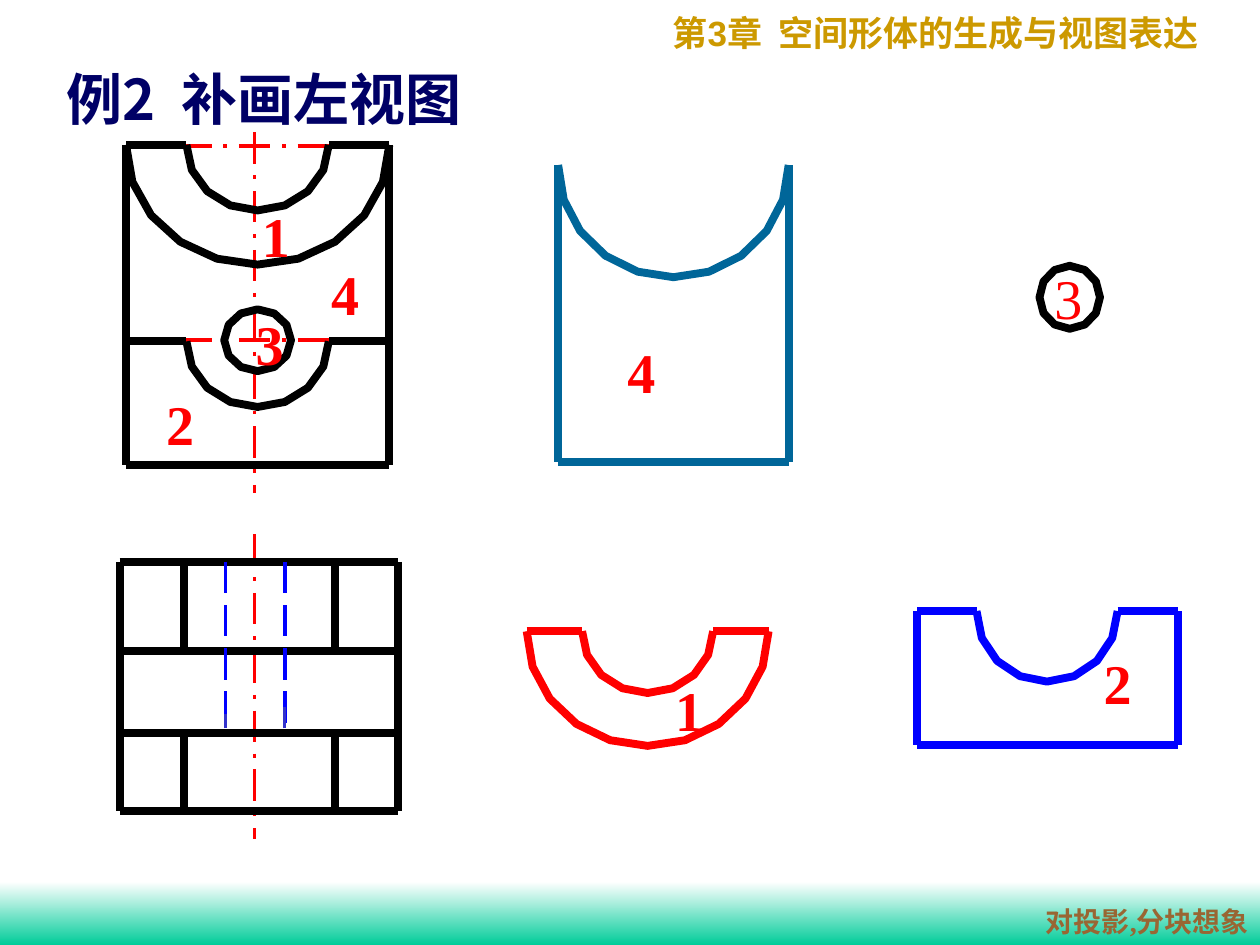
import math

import pptx
import pptx.dml.color
import pptx.enum.dml
import pptx.enum.shapes
import pptx.enum.text
import pptx.oxml
import pptx.oxml.ns
import pptx.util
from pptx.util import Inches

RGBColor = pptx.dml.color.RGBColor
BLACK = RGBColor(0x00, 0x00, 0x00)
WHITE = RGBColor(0xFF, 0xFF, 0xFF)
RED = RGBColor(0xFF, 0x00, 0x00)
BLUE = RGBColor(0x00, 0x00, 0xFF)
INDIGO = RGBColor(0x33, 0x33, 0xCC)
TEAL = RGBColor(0x00, 0x66, 0x99)
NAVY = RGBColor(0x00, 0x00, 0x66)
GREEN = RGBColor(0x00, 0xCC, 0x99)
GOLD = RGBColor(0xCC, 0x99, 0x00)
BROWN = RGBColor(0x99, 0x66, 0x33)

SERIF = "Times New Roman"
SANS = "Noto Sans CJK SC"
AXIS = pptx.enum.dml.MSO_LINE.LONG_DASH_DOT
HIDDEN = pptx.enum.dml.MSO_LINE.LONG_DASH
LEFT = pptx.enum.text.PP_ALIGN.LEFT
CENTER = pptx.enum.text.PP_ALIGN.CENTER


def add_line(shapes, start, end, color, width=4.5, dash=None):
    """Draw a straight edge or axis between two points in inches."""
    line = shapes.add_connector(
        pptx.enum.shapes.MSO_CONNECTOR.STRAIGHT,
        *(Inches(value) for value in (*start, *end)))
    line.line.color.rgb = color
    line.line.width = pptx.util.Pt(width)
    if dash:
        line.line.dash_style = dash
    properties = line._element.spPr
    properties.append(pptx.oxml.parse_xml(
        f'<a:effectLst {pptx.oxml.ns.nsdecls("a")}/>'))


def add_horizontals(shapes, left, right, levels, color):
    """Draw horizontal edges of equal span at several heights."""
    for y in levels:
        add_line(shapes, (left, y), (right, y), color)


def add_verticals(shapes, top, bottom, columns, color, **style):
    """Draw vertical edges of equal span at several columns."""
    for x in columns:
        add_line(shapes, (x, top), (x, bottom), color, **style)


def add_arc(shapes, left, right, center_y, radius_y, segments, color,
            start=0, sweep=math.pi):
    """Draw an elliptic arc as a chain of straight segments."""
    center_x, radius_x = (left + right) / 2, (right - left) / 2
    angles = [start + sweep * i / segments for i in range(segments + 1)]
    points = [(Inches(center_x - radius_x * math.cos(angle)),
               Inches(center_y + radius_y * math.sin(angle)))
              for angle in angles]
    builder = shapes.build_freeform(*points[0])
    builder.add_line_segments(points[1:], close=False)
    arc = builder.convert_to_shape()
    arc.shadow.inherit = False
    arc.fill.background()
    arc.line.color.rgb = color
    arc.line.width = pptx.util.Pt(4.5)


def add_circle(shapes, left, right, center_y, radius_y):
    """Draw the twelve-sided circle of the hole."""
    add_arc(shapes, left, right, center_y, radius_y, 12, BLACK,
            math.pi, 2 * math.pi)


def write_text(box, runs, size, color, bold=True, align=LEFT, wrap=False):
    """Fill a box with one paragraph made of (text, font) runs."""
    frame = box.text_frame
    frame.word_wrap = wrap
    frame.auto_size = pptx.enum.text.MSO_AUTO_SIZE.NONE
    frame.vertical_anchor = pptx.enum.text.MSO_ANCHOR.TOP
    paragraph = frame.paragraphs[0]
    paragraph.alignment = align
    for text, face in runs:
        run = paragraph.add_run()
        run.text = text
        run.font.name = face
        run.font.size = pptx.util.Pt(size)
        run.font.bold = bold
        run.font.color.rgb = color
        latin = run.font._element.find(pptx.oxml.ns.qn("a:latin"))
        latin.addnext(pptx.oxml.parse_xml(
            f'<a:ea {pptx.oxml.ns.nsdecls("a")} typeface="{SANS}"/>'))


def add_text(shapes, at, runs, size, color, **style):
    """Add a text box at left, top, width, height in inches."""
    box = shapes.add_textbox(*(Inches(value) for value in at))
    write_text(box, runs, size, color, **style)


def add_label(shapes, left, top, number, bold=True):
    """Add the red number of a part."""
    add_text(shapes, (left, top, 0.42, 0.64), [(number, SERIF)], 32, RED,
             bold=bold, align=CENTER)


def add_footer_band(shapes):
    """Add the green gradient along the bottom of the slide."""
    band = shapes.add_shape(pptx.enum.shapes.MSO_SHAPE.RECTANGLE,
                            0, Inches(7), Inches(10), Inches(0.5))
    band.shadow.inherit = False
    band.line.fill.background()
    band.fill.gradient()
    band.fill.gradient_angle = 270
    for stop, position, color in zip(
            band.fill.gradient_stops, (0, 1), (WHITE, GREEN)):
        stop.position = position
        stop.color.rgb = color


def add_title(slide):
    """Place and format the title."""
    title = slide.shapes.title
    title.left, title.top = Inches(0.43), Inches(0.46)
    title.width, title.height = Inches(3.55), Inches(0.64)
    write_text(title, [("例2  补画左视图", SANS)], 32, NAVY)


def add_front_view(shapes):
    """Draw the front view with its axes and part numbers."""
    left, inner_left, inner_right, right = 1, 1.48, 2.61, 3.09
    top, middle, bottom = 1.15, 2.71, 3.69
    for y in (1.16, 2.7):
        add_line(shapes, (1.43, y), (2.62, y), RED, 2.25, AXIS)
    add_line(shapes, (2.02, 1.05), (2.02, 3.91), RED, 2.25, AXIS)
    add_horizontals(shapes, left, inner_left, (top, middle), BLACK)
    add_horizontals(shapes, inner_right, right, (top, middle), BLACK)
    add_horizontals(shapes, left, right, (bottom,), BLACK)
    add_verticals(shapes, top, bottom, (left, right), BLACK)
    add_circle(shapes, 1.78, 2.31, 2.7, 0.245)
    for y in (top, middle):
        add_arc(shapes, inner_left, inner_right, y, 0.52, 8, BLACK)
    add_arc(shapes, left, right, top, 0.95, 10, BLACK)
    for number, x, y in (("4", 2.53, 2.01), ("2", 1.22, 3.04),
                         ("3", 1.93, 2.41), ("1", 1.98, 1.55)):
        add_label(shapes, x, y, number)


def add_top_view(shapes):
    """Draw the top view with the hidden edges of the hole."""
    left, right = 0.95, 3.16
    levels = back, upper, lower, front = 4.46, 5.17, 5.82, 6.44
    slot, hole = (1.46, 2.66), (1.79, 2.26)
    add_line(shapes, (2.02, 4.24), (2.02, 6.66), RED, 2.25, AXIS)
    add_verticals(shapes, back, front, (left, right), BLACK)
    add_verticals(shapes, back, upper, slot, BLACK)
    add_verticals(shapes, lower, front, slot, BLACK)
    add_horizontals(shapes, left, right, levels, BLACK)
    add_verticals(shapes, back, 5.78, hole, BLUE, width=2.25, dash=HIDDEN)
    add_line(shapes, (hole[0], 5.78), (hole[0], 5.67), INDIGO, 1.5)
    add_line(shapes, (hole[1], 5.78), (hole[1], 5.56), INDIGO, 1.5, HIDDEN)


def add_half_ring(shapes):
    """Draw part 1, the half ring."""
    add_horizontals(shapes, 4.18, 4.62, (5.01,), RED)
    add_horizontals(shapes, 5.66, 6.1, (5.01,), RED)
    add_arc(shapes, 4.62, 5.66, 5.01, 0.49, 8, RED)
    add_arc(shapes, 4.18, 6.1, 5.01, 0.91, 10, RED)
    add_label(shapes, 5.26, 5.31, "1")


def add_front_block(shapes):
    """Draw part 2, the block with a round notch."""
    top, bottom = 4.85, 5.91
    add_arc(shapes, 7.75, 8.87, top, 0.56, 8, BLUE)
    add_horizontals(shapes, 7.28, 7.75, (top,), BLUE)
    add_horizontals(shapes, 8.87, 9.35, (top,), BLUE)
    add_horizontals(shapes, 7.28, 9.35, (bottom,), BLUE)
    add_verticals(shapes, top, bottom, (7.28, 9.35), BLUE)
    add_label(shapes, 8.66, 5.1, "2")


def add_hole(shapes):
    """Draw part 3, the hole."""
    add_circle(shapes, 8.25, 8.73, 2.36, 0.25)
    add_label(shapes, 8.27, 2.04, "3", bold=False)


def add_back_plate(shapes):
    """Draw part 4, the plate with a round top."""
    left, right, top, bottom = 4.43, 6.26, 1.31, 3.67
    add_arc(shapes, left, right, top, 0.89, 10, TEAL)
    add_verticals(shapes, top, bottom, (left, right), TEAL)
    add_horizontals(shapes, left, right, (bottom,), TEAL)
    add_label(shapes, 4.88, 2.63, "4")


def main():
    """Build the slide and save it."""
    deck = pptx.Presentation()
    deck.slide_width, deck.slide_height = Inches(10), Inches(7.5)
    slide = deck.slides.add_slide(deck.slide_layouts[5])
    add_footer_band(slide.shapes)
    add_text(slide.shapes, (5.24, 0.04, 4.49, 0.77),
             [("第", SERIF), ("3", "Arial"),
              ("章  空间形体的生成与视图表达", SERIF)], 20, GOLD, wrap=True)
    add_title(slide)
    for draw in (add_hole, add_front_view, add_top_view, add_back_plate,
                 add_front_block, add_half_ring):
        draw(slide.shapes.add_group_shape().shapes)
    add_text(slide.shapes, (8.15, 7.13, 1.91, 0.37),
             [("对投影,分块想象", SERIF)], 16, BROWN, align=CENTER)
    deck.save("out.pptx")


if __name__ == "__main__":
    main()
